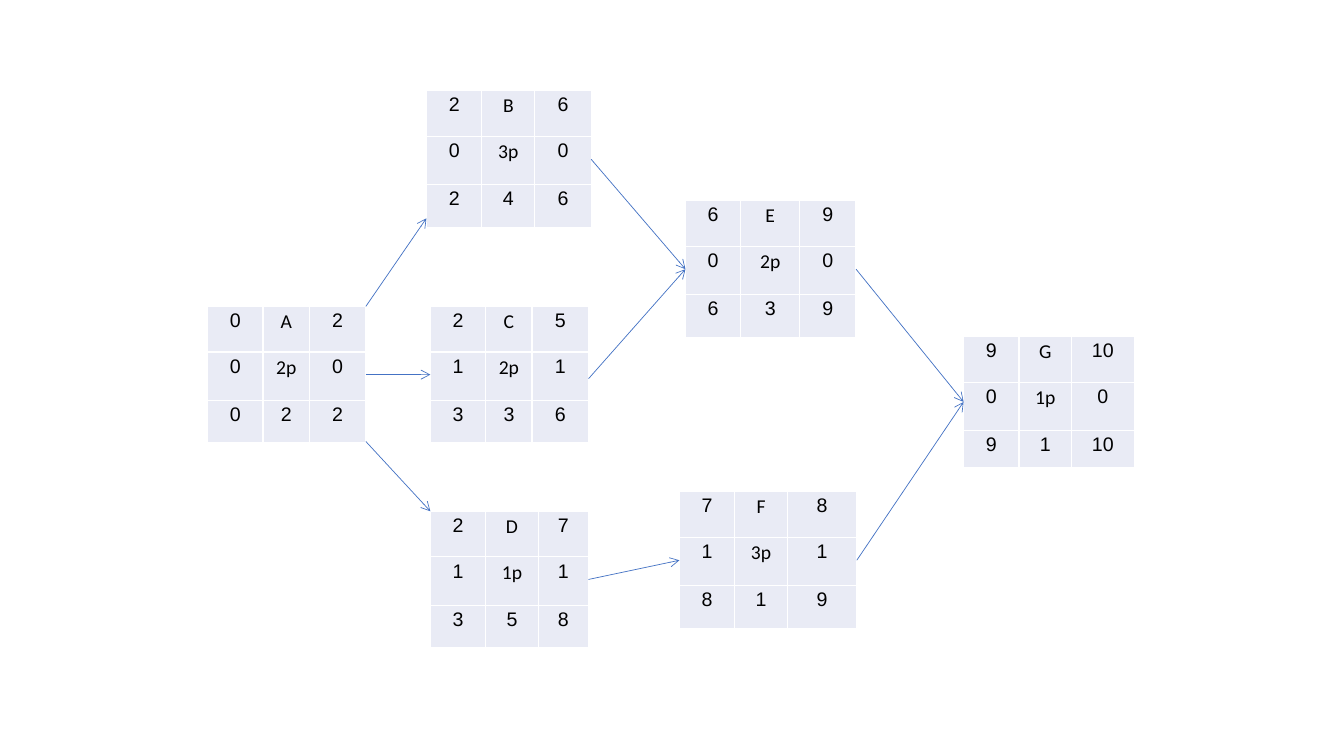
from lxml import etree
from pptx import Presentation
from pptx.dml.color import RGBColor
from pptx.enum.shapes import MSO_CONNECTOR
from pptx.enum.text import PP_ALIGN
from pptx.oxml.ns import qn
from pptx.util import Pt

STRAIGHT = MSO_CONNECTOR.STRAIGHT
CENTER = PP_ALIGN.CENTER

# task: left, top, column widths, last row height, rows of cell values
TASKS = {
    "B": (304.6, 64.8, (39.6, 37.8, 40.3), 30.8,
          (("2", "B", "6"), ("0", "3p", "0"), ("2", "4", "6"))),
    "A": (148.3, 218.9, (39.6, 33.1, 40.3), 30.2,
          (("0", "A", "2"), ("0", "2p", "0"), ("0", "2", "2"))),
    "C": (307.4, 218.9, (39.6, 33.1, 40.3), 30.2,
          (("2", "C", "5"), ("1", "2p", "1"), ("3", "3", "6"))),
    "D": (307.4, 365.2, (39.6, 37.4, 36), 30.2,
          (("2", "D", "7"), ("1", "1p", "1"), ("3", "5", "8"))),
    "E": (489.6, 143.3, (39.6, 42, 40.3), 30.8,
          (("6", "E", "9"), ("0", "2p", "0"), ("6", "3", "9"))),
    "F": (485.3, 351.2, (39.6, 37.4, 49.7), 30.8,
          (("7", "F", "8"), ("1", "3p", "1"), ("8", "1", "9"))),
    "G": (688.3, 240.5, (39.6, 37.4, 44.9), 26,
          (("9", "G", "10"), ("0", "1p", "0"), ("9", "1", "10"))),
}
# from task, height share on its right side, to task, height share on its left side
DEPENDENCIES = [
    ("C", 0.53, "E", 0.5),
    ("A", 0.99, "D", 0),
    ("A", 0.5, "C", 0.5),
    ("A", 0, "B", 0.93),
    ("D", 0.5, "F", 0.5),
    ("B", 0.5, "E", 0.5),
    ("F", 0.5, "G", 0.5),
    ("E", 0.5, "G", 0.5),
]
UPPER_ROWS = (32.6, 34.6)
THEME = {
    "cell": RGBColor(0xE9, 0xEB, 0xF5),
    "border": RGBColor(0xFF, 0xFF, 0xFF),
    "text": RGBColor(0, 0, 0),
    "arrow": RGBColor(0x44, 0x72, 0xC4),
    "font": "Calibri",
    "number_font": "Arial",
    "size": 14,
    "border_width": 1,
    "arrow_width": 0.5,
}
CELL_FORMAT = {"margin_left": Pt(5.4), "margin_right": Pt(5.4),
               "margin_top": 0, "margin_bottom": 0}
PARAGRAPH_FORMAT = {"alignment": CENTER, "line_spacing": 1.15, "space_after": Pt(10)}
FONT_FORMAT = {"name": THEME["font"], "size": Pt(THEME["size"])}
TABLE_FORMAT = {"first_row": False, "horz_banding": False}


def apply_format(target, values):
    for name, value in values.items():
        setattr(target, name, value)


def add_borders(cell):
    properties = cell._tc.get_or_add_tcPr()
    for side in ("a:lnL", "a:lnR", "a:lnT", "a:lnB"):
        line = etree.SubElement(properties, qn(side), w=str(Pt(THEME["border_width"])))
        fill = etree.SubElement(line, qn("a:solidFill"))
        etree.SubElement(fill, qn("a:srgbClr"), val=str(THEME["border"]))


def fill_cell(cell, value):
    """Style one cell; plain numbers run right to left in the number font."""
    apply_format(cell, CELL_FORMAT)
    add_borders(cell)
    cell.fill.solid()
    cell.fill.fore_color.rgb = THEME["cell"]
    paragraph = cell.text_frame.paragraphs[0]
    apply_format(paragraph, PARAGRAPH_FORMAT)
    run = paragraph.add_run()
    run.text = value
    apply_format(run.font, FONT_FORMAT)
    run.font.color.rgb = THEME["text"]
    if value.isdigit():
        paragraph._p.get_or_add_pPr().set("rtl", "1")
        etree.SubElement(run._r.get_or_add_rPr(), qn("a:cs"), typeface=THEME["number_font"])


def add_task(slide, left, top, widths, last_height, values):
    heights = (*UPPER_ROWS, last_height)
    frame = slide.shapes.add_table(len(heights), len(widths), Pt(left), Pt(top),
                                   Pt(sum(widths)), Pt(sum(heights)))
    table = frame.table
    apply_format(table, TABLE_FORMAT)
    for column, width in zip(table.columns, widths):
        column.width = Pt(width)
    for row, height, row_values in zip(table.rows, heights, values):
        row.height = Pt(height)
        for cell, value in zip(row.cells, row_values):
            fill_cell(cell, value)


def side_point(task, share, right):
    left, top, widths, last_height, _ = TASKS[task]
    x = left + sum(widths) * right
    y = top + (sum(UPPER_ROWS) + last_height) * share
    return Pt(x), Pt(y)


def add_dependency(slide, source, source_share, target, target_share):
    arrow = slide.shapes.add_connector(STRAIGHT, *side_point(source, source_share, True),
                                       *side_point(target, target_share, False))
    arrow.line.color.rgb = THEME["arrow"]
    arrow.line.width = Pt(THEME["arrow_width"])
    etree.SubElement(arrow.line._get_or_add_ln(), qn("a:tailEnd"), type="arrow")
    etree.SubElement(arrow._element.spPr, qn("a:effectLst"))


def main():
    deck = Presentation()
    deck.slide_width, deck.slide_height = Pt(960), Pt(540)
    slide = deck.slides.add_slide(deck.slide_layouts[6])
    for task in TASKS.values():
        add_task(slide, *task)
    for dependency in DEPENDENCIES:
        add_dependency(slide, *dependency)
    deck.save("out.pptx")


if __name__ == "__main__":
    main()
